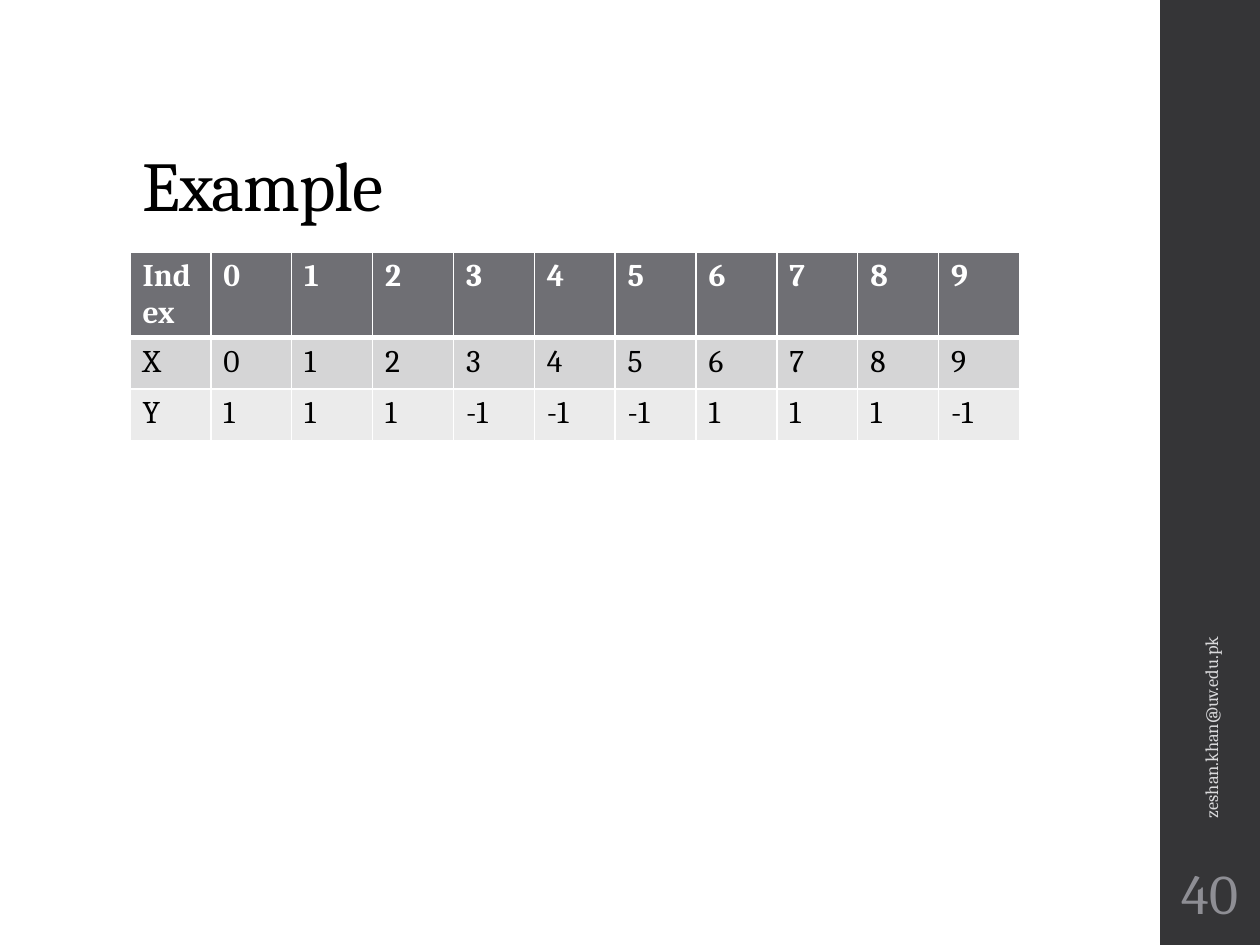
from dataclasses import dataclass

from lxml import etree
from pptx import Presentation
from pptx.dml.color import RGBColor
from pptx.enum import shapes, text
from pptx.oxml import ns
from pptx.util import Cm, Pt

FONT = "Cambria"
BLACK = RGBColor(0x00, 0x00, 0x00)
WHITE = RGBColor(0xFF, 0xFF, 0xFF)
SIDEBAR = RGBColor(0x35, 0x35, 0x37)
HEADER = RGBColor(0x6F, 0x6F, 0x74)
DARK_BAND = RGBColor(0xD5, 0xD5, 0xD6)
LIGHT_BAND = RGBColor(0xEB, 0xEB, 0xEB)
CONTACT = RGBColor(0xD9, 0xD9, 0xDB)
NUMBER = RGBColor(0x8E, 0x8E, 0x94)

COLUMN_WIDTH = Cm(1.63)
ROW_HEIGHT = Cm(1.04)


@dataclass(frozen=True)
class TableRow:
    label: str
    values: tuple[int, ...]
    fill: RGBColor
    color: RGBColor = BLACK
    bold: bool = False
    top: float = 1
    bottom: float = 1


@dataclass(frozen=True)
class Label:
    content: str
    left: float
    top: float
    width: float
    height: float
    size: float
    color: RGBColor
    rotation: float = 0
    side_inset: float = 0.25
    alignment: text.PP_ALIGN = text.PP_ALIGN.LEFT


ROWS = (
    TableRow("Index", tuple(range(10)), HEADER, WHITE, bold=True, bottom=3),
    TableRow("X", tuple(range(10)), DARK_BAND, top=3),
    TableRow("Y", (1, 1, 1, -1, -1, -1, 1, 1, 1, -1), LIGHT_BAND),
)
LABELS = (
    Label("zeshan.khan@uv.edu.pk", 19.43, 11.38, 9.96, 0.76, 10.5, CONTACT, rotation=270),
    Label("40", 23.44, 17.15, 1.91, 1.65, 32, NUMBER,
          side_inset=0.08, alignment=text.PP_ALIGN.CENTER),
)


def add_run(paragraph, content: str, size: float, color: RGBColor, bold: bool = False):
    run = paragraph.add_run()
    run.text = content
    run.font.name = FONT
    run.font.size = Pt(size)
    run.font.bold = bold
    run.font.color.rgb = color
    return run


def set_title(slide, content: str) -> None:
    title = slide.shapes.title
    title.left, title.top, title.width, title.height = Cm(2.62), Cm(1.02), Cm(20.19), Cm(3.68)
    frame = title.text_frame
    frame.auto_size = text.MSO_AUTO_SIZE.NONE
    frame.vertical_anchor = text.MSO_ANCHOR.BOTTOM
    paragraph = frame.paragraphs[0]
    paragraph.alignment = text.PP_ALIGN.LEFT
    paragraph.line_spacing = 0.9
    run = add_run(paragraph, content, 40, BLACK)
    run.font._element.set("spc", "-50")


def add_sidebar(slide) -> None:
    sidebar = slide.shapes.add_shape(
        shapes.MSO_SHAPE.RECTANGLE, Cm(23.39), 0, Cm(2.03), Cm(19.05))
    sidebar.shadow.inherit = False
    sidebar.fill.solid()
    sidebar.fill.fore_color.rgb = SIDEBAR
    sidebar.line.fill.background()


def set_borders(cell, row: TableRow) -> None:
    properties = cell._tc.get_or_add_tcPr()
    sides = (("lnL", 1), ("lnR", 1), ("lnT", row.top), ("lnB", row.bottom))
    for position, (side, width) in enumerate(sides):
        border = etree.Element(ns.qn(f"a:{side}"), w=str(Pt(width)))
        fill = etree.SubElement(border, ns.qn("a:solidFill"))
        etree.SubElement(fill, ns.qn("a:srgbClr"), val=str(WHITE))
        properties.insert(position, border)


def add_value_table(slide, rows: tuple[TableRow, ...]) -> None:
    column_count = len(rows[0].values) + 1
    table = slide.shapes.add_table(
        len(rows), column_count, Cm(2.62), Cm(5.08),
        COLUMN_WIDTH * column_count, ROW_HEIGHT * len(rows)).table
    for column in table.columns:
        column.width = COLUMN_WIDTH
    for row, table_row in zip(rows, table.rows):
        table_row.height = ROW_HEIGHT
        for cell, value in zip(table_row.cells, (row.label, *row.values)):
            cell.fill.solid()
            cell.fill.fore_color.rgb = row.fill
            set_borders(cell, row)
            add_run(cell.text_frame.paragraphs[0], str(value), 18, row.color, row.bold)


def add_label(slide, label: Label) -> None:
    box = slide.shapes.add_textbox(
        Cm(label.left), Cm(label.top), Cm(label.width), Cm(label.height))
    box.rotation = label.rotation
    frame = box.text_frame
    frame.word_wrap = True
    frame.vertical_anchor = text.MSO_ANCHOR.MIDDLE
    frame.margin_left = frame.margin_right = Cm(label.side_inset)
    paragraph = frame.paragraphs[0]
    paragraph.alignment = label.alignment
    add_run(paragraph, label.content, label.size, label.color)


def main() -> None:
    presentation = Presentation()
    presentation.slide_width, presentation.slide_height = Cm(25.4), Cm(19.05)
    slide = presentation.slides.add_slide(presentation.slide_layouts[5])
    add_sidebar(slide)
    set_title(slide, "Example")
    add_value_table(slide, ROWS)
    for label in LABELS:
        add_label(slide, label)
    presentation.save("out.pptx")


if __name__ == "__main__":
    main()
